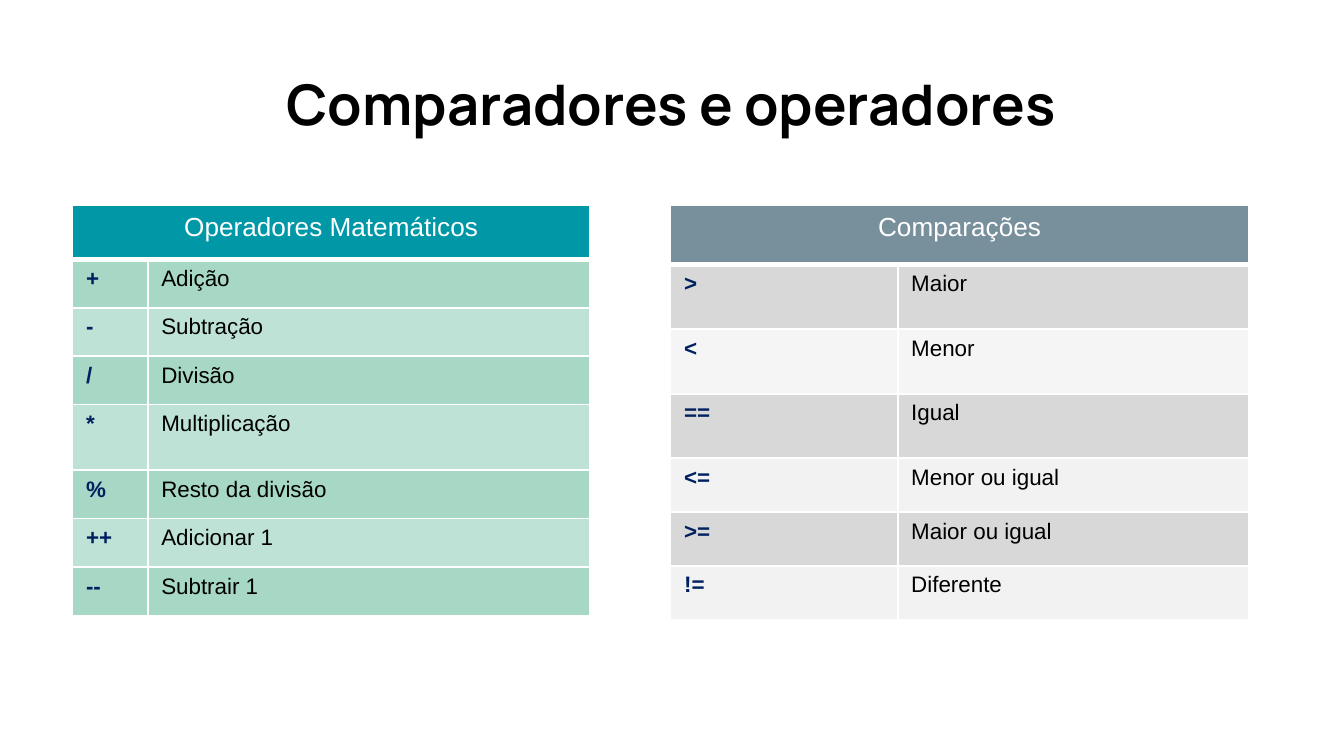
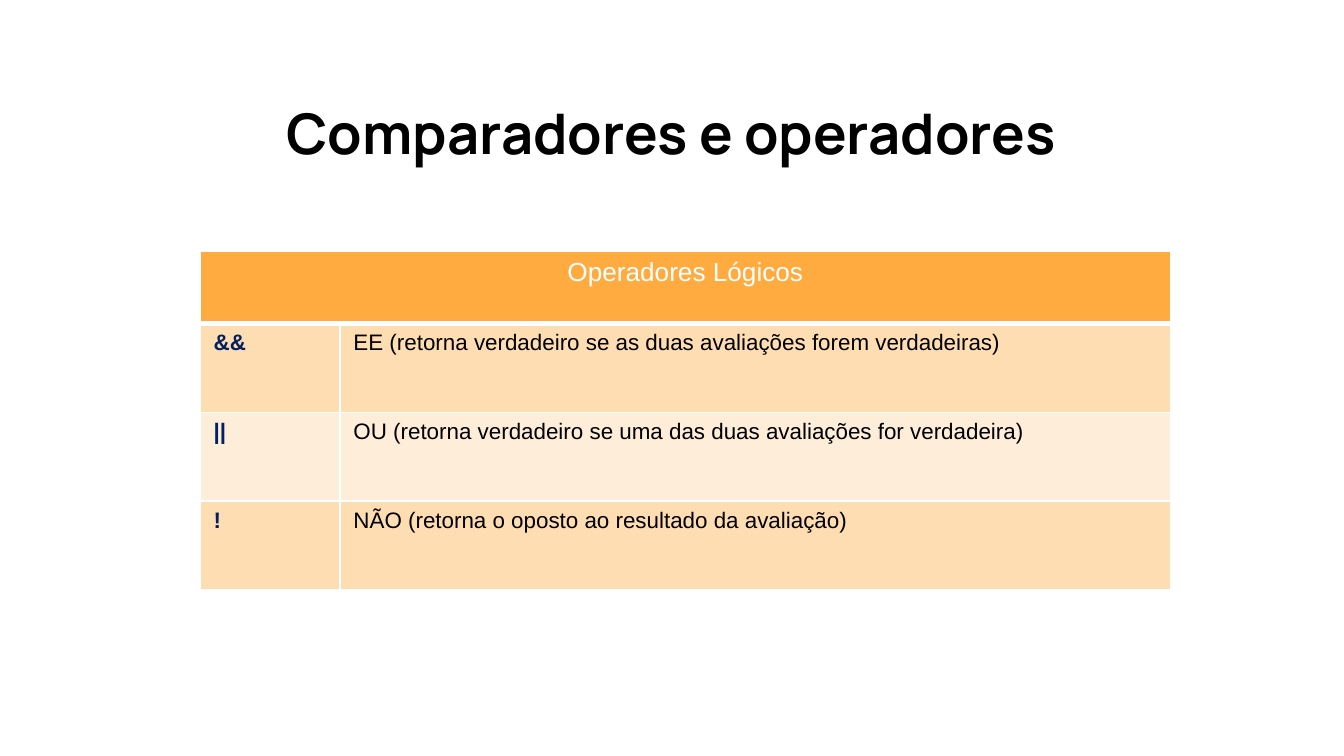
from lxml import etree
from pptx import Presentation
from pptx.dml.color import RGBColor
from pptx.enum.text import MSO_ANCHOR, MSO_AUTO_SIZE, PP_ALIGN
from pptx.oxml.ns import qn
from pptx.util import Inches, Pt

LEFT, CENTER = PP_ALIGN.LEFT, PP_ALIGN.CENTER
TOP = MSO_ANCHOR.TOP
NO_AUTOFIT = MSO_AUTO_SIZE.NONE

COLORS = {
    "white": "FFFFFF",
    "black": "000000",
    "navy": "002060",
    "teal": "0097A7",
    "mint": "A6D8C5",
    "slate": "78909C",
    "gray": "D8D8D8",
    "light gray": "F2F2F2",
    "orange": "FFAB40",
    "peach": "FFDDB2",
    "light peach": "FEEDD8",
}
TITLE_FONT, TABLE_FONT = "Manrope", "Arial"
TITLE = "Comparadores e operadores"
TITLE_ONLY_LAYOUT = 5
THIN, THICK = 1, 3


def write_text(frame, text, font=TABLE_FONT, size=12, color="black", bold=False, align=LEFT):
    paragraph = frame.paragraphs[0]
    paragraph.alignment = align
    run = paragraph.add_run()
    run.text = text
    run.font.name = font
    run.font.size = Pt(size)
    run.font.bold = bold
    run.font.color.rgb = RGBColor.from_string(COLORS[color])


class Deck:
    def __init__(self):
        self.presentation = Presentation()
        self.presentation.slide_width = Inches(10)
        self.presentation.slide_height = Inches(10 * 9 / 16)
        self.slide = None

    def add_slide(self, title, top, height):
        layout = self.presentation.slide_layouts[TITLE_ONLY_LAYOUT]
        self.slide = self.presentation.slides.add_slide(layout)
        shape = self.slide.shapes.title
        shape.left, shape.top = Inches(0.87), Inches(top)
        shape.width, shape.height = Inches(8.25), Inches(height)
        frame = shape.text_frame
        frame.auto_size = NO_AUTOFIT
        frame.word_wrap = True
        frame.vertical_anchor = TOP
        frame.margin_left = frame.margin_right = Inches(0.1)
        frame.margin_top = frame.margin_bottom = Inches(0.1)
        write_text(frame, title, font=TITLE_FONT, size=30, bold=True, align=CENTER)

    def add_operator_table(self, left, top, widths, heights, heading, heading_color,
                           entries, bands, translucent_rows=()):
        """Add a table with a merged heading above rows of symbol and meaning."""
        table = self.slide.shapes.add_table(
            len(heights), len(widths), Inches(left), Inches(top),
            Inches(sum(widths)), Inches(sum(heights))).table
        for column, width in zip(table.columns, widths):
            column.width = Inches(width)
        for row, height in zip(table.rows, heights):
            row.height = Inches(height)

        for cell in table.rows[0].cells:
            self.style_cell(cell, heading_color, bottom=THICK)
        table.cell(0, 0).merge(table.cell(0, 1))
        write_text(table.cell(0, 0).text_frame, heading, size=14, color="white", align=CENTER)

        for row, (symbol, meaning) in enumerate(entries, start=1):
            for cell in table.rows[row].cells:
                self.style_cell(cell, bands[(row - 1) % 2],
                                top=THICK if row == 1 else THIN,
                                opacity=72 if row in translucent_rows else 100)
            write_text(table.cell(row, 0).text_frame, symbol, color="navy", bold=True)
            write_text(table.cell(row, 1).text_frame, meaning)

    def style_cell(self, cell, color, top=THIN, bottom=THIN, opacity=100):
        properties = cell._tc.get_or_add_tcPr()
        for side, width in (("L", THIN), ("R", THIN), ("T", top), ("B", bottom)):
            line = etree.SubElement(properties, qn(f"a:ln{side}"), w=str(Pt(width)))
            line_fill = etree.SubElement(line, qn("a:solidFill"))
            etree.SubElement(line_fill, qn("a:srgbClr"), val=COLORS["white"])
        cell.fill.solid()
        cell.fill.fore_color.rgb = RGBColor.from_string(COLORS[color])
        if opacity < 100:
            fill_color = properties.find(qn("a:solidFill")).find(qn("a:srgbClr"))
            etree.SubElement(fill_color, qn("a:alpha"), val=str(opacity * 1000))


def main():
    deck = Deck()

    deck.add_slide(TITLE, top=0.42, height=0.42)
    deck.add_operator_table(
        0.54, 1.53, [0.56, 3.29], [0.4] + [0.36] * 3 + [0.49] + [0.36] * 3,
        "Operadores Matemáticos", "teal",
        [("+", "Adição"), ("-", "Subtração"), ("/", "Divisão"), ("*", "Multiplicação"),
         ("%", "Resto da divisão"), ("++", "Adicionar 1"), ("--", "Subtrair 1")],
        ("mint", "mint"), translucent_rows=(2, 4, 6))
    deck.add_operator_table(
        4.99, 1.53, [1.69, 2.61], [0.44] + [0.48] * 3 + [0.4] * 3,
        "Comparações", "slate",
        [(">", "Maior"), ("<", "Menor"), ("==", "Igual"), ("<=", "Menor ou igual"),
         (">=", "Maior ou igual"), ("!=", "Diferente")],
        ("gray", "light gray"), translucent_rows=(2,))

    deck.add_slide(TITLE, top=0.63, height=0.79)
    deck.add_operator_table(
        1.49, 1.87, [1.04, 6.18], [0.54] + [0.66] * 3,
        "Operadores Lógicos", "orange",
        [("&&", "EE (retorna verdadeiro se as duas avaliações forem verdadeiras)"),
         ("||", "OU (retorna verdadeiro se uma das duas avaliações for verdadeira)"),
         ("!", "NÃO (retorna o oposto ao resultado da avaliação)")],
        ("peach", "light peach"))

    deck.presentation.save("out.pptx")


if __name__ == "__main__":
    main()
